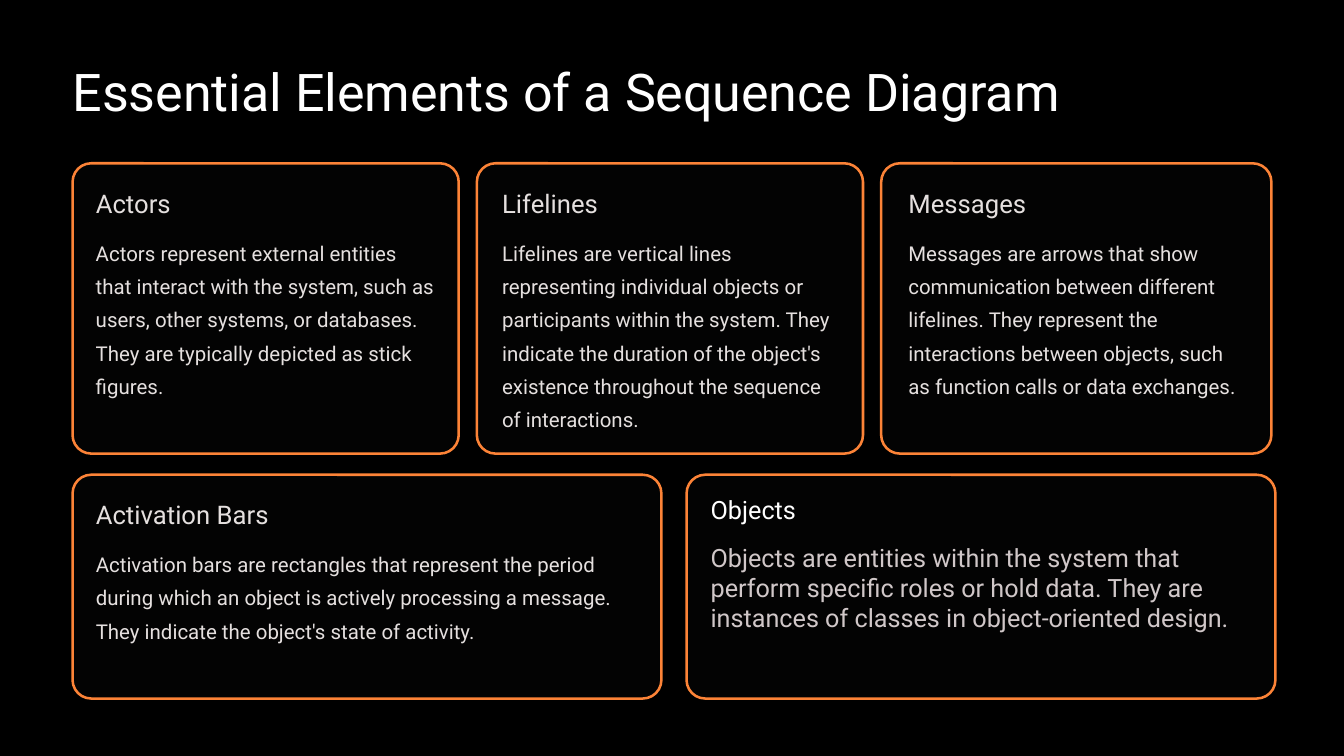
from pptx import Presentation
from pptx import util as u
from pptx.dml.color import RGBColor
from pptx.enum import shapes, text

BLACK = RGBColor(0x00, 0x00, 0x00)
PANEL = RGBColor(0x03, 0x03, 0x03)
ORANGE = RGBColor(0xFC, 0x83, 0x37)
WHITE = RGBColor(0xFF, 0xFF, 0xFF)
LIGHT = RGBColor(0xE5, 0xE0, 0xDF)
GREY = RGBColor(0xD0, 0xC7, 0xC8)

TITLE = dict(size=37.1, color=WHITE, spacing=46.2, wrap=False)
HEAD = dict(size=18.3, color=LIGHT, spacing=22.9, wrap=False)
BODY = dict(size=14.6, color=LIGHT, spacing=23.8)
OBJECT_HEAD = dict(size=18, color=WHITE, inset=(0.1, 0.05), grow=True)
OBJECT_BODY = dict(OBJECT_HEAD, color=GREY)

TOP_ROW, BOTTOM_ROW = (1.62, 2.88), (4.71, 2.22)
CARDS = [
    (0.72, 3.83, TOP_ROW, 0.95, 3.37, 1.65, "Actors",
     "Actors represent external entities that interact with the system, such as users, "
     "other systems, or databases. They are typically depicted as stick figures."),
    (4.73, 3.83, TOP_ROW, 4.98, 3.37, 1.98, "Lifelines",
     "Lifelines are vertical lines representing individual objects or participants within "
     "the system. They indicate the duration of the object's existence throughout the "
     "sequence of interactions."),
    (8.74, 3.87, TOP_ROW, 9.01, 3.37, 1.65, "Messages",
     "Messages are arrows that show communication between different lifelines. They "
     "represent the interactions between objects, such as function calls or data exchanges."),
    (0.72, 5.84, BOTTOM_ROW, 0.95, 5.39, 0.99, "Activation Bars",
     "Activation bars are rectangles that represent the period during which an object is "
     "actively processing a message. They indicate the object's state of activity."),
]


class Deck:
    """Holds the presentation, its style and the current slide."""

    font = "Roboto"
    radius = 0.185

    def __init__(self):
        self.prs = Presentation()
        self.prs.slide_width, self.prs.slide_height = u.Inches(13.33), u.Inches(7.5)
        self.s = self.prs.slides.add_slide(self.prs.slide_layouts[6])
        fill = self.s.background.fill
        fill.solid()
        fill.fore_color.rgb = BLACK

    def panel(self, x, y, w, h):
        sp = self.s.shapes.add_shape(shapes.MSO_SHAPE.ROUNDED_RECTANGLE,
                                     *map(u.Inches, (x, y, w, h)))
        sp.adjustments[0] = self.radius / h
        sp.shadow.inherit = False
        sp.fill.solid()
        sp.fill.fore_color.rgb = PANEL
        sp.line.color.rgb = ORANGE
        sp.line.width = u.Pt(1.8)

    def label(self, x, y, w, h, words, size, color, spacing=None, wrap=True,
              inset=(0, 0), grow=False):
        tf = self.s.shapes.add_textbox(*map(u.Inches, (x, y, w, h))).text_frame
        side, edge = map(u.Inches, inset)
        fit = text.MSO_AUTO_SIZE
        frame = dict(margin_left=side, margin_right=side, margin_top=edge,
                     margin_bottom=edge, word_wrap=wrap,
                     auto_size=fit.SHAPE_TO_FIT_TEXT if grow else fit.NONE)
        for name, value in frame.items():
            setattr(tf, name, value)
        p = tf.paragraphs[0]
        if spacing:
            p.line_spacing = u.Pt(spacing)
        r = p.add_run()
        r.text = words
        for name, value in dict(name=self.font, size=u.Pt(size)).items():
            setattr(r.font, name, value)
        r.font.color.rgb = color

    def card(self, x, w, row, text_x, text_w, text_h, head, body):
        y, h = row
        self.panel(x, y, w, h)
        self.label(text_x, y + 0.23, 2.58, 0.32, head, **HEAD)
        self.label(text_x, y + 0.68, text_w, text_h, body, **BODY)


def main():
    deck = Deck()
    deck.label(0.72, 0.57, 10.18, 0.64, "Essential Elements of a Sequence Diagram", **TITLE)
    for card in CARDS:
        deck.card(*card)
    y, h = BOTTOM_ROW
    deck.panel(6.81, y, 5.84, h)
    deck.label(6.95, 4.86, 1.61, 0.4, "Objects", **OBJECT_HEAD)
    deck.label(6.95, 5.33, 5.47, 1.01,
               "Objects are entities within the system that perform specific roles or hold "
               "data. They are instances of classes in object-oriented design.", **OBJECT_BODY)
    deck.prs.save("out.pptx")


if __name__ == "__main__":
    main()
